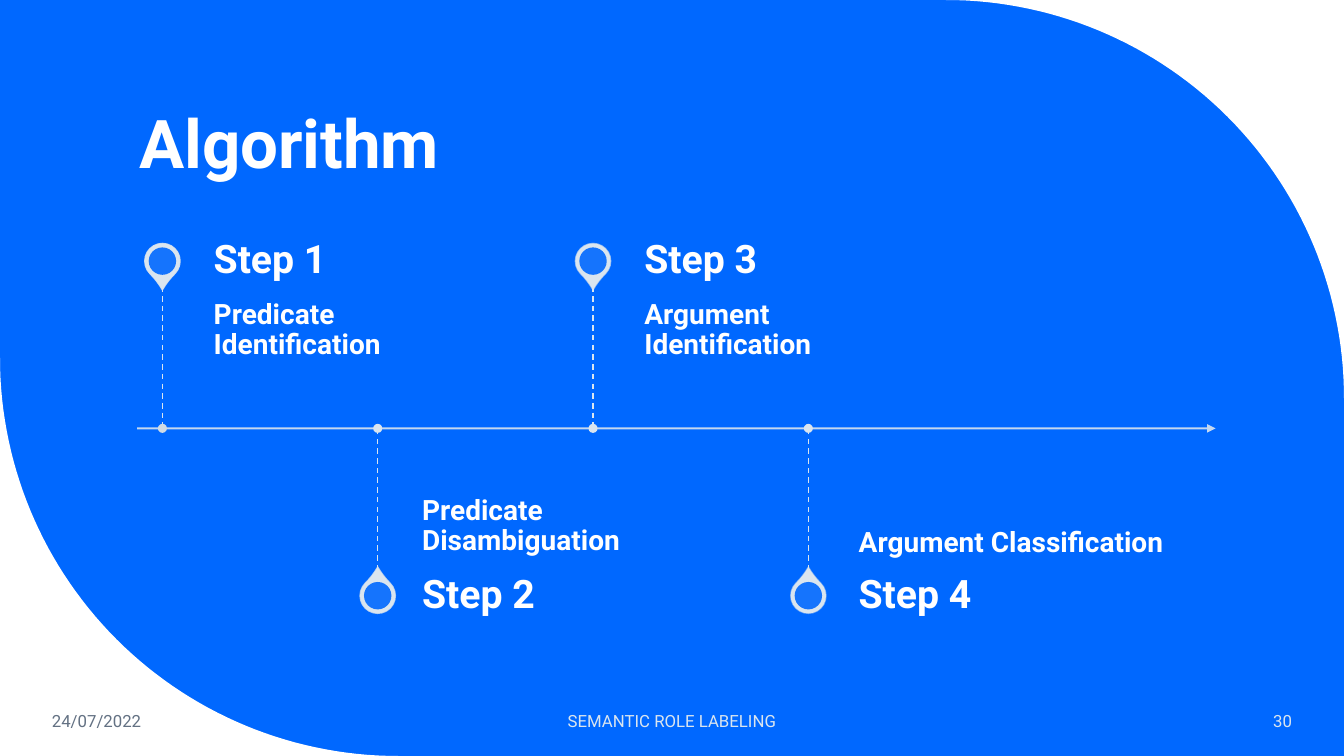
import math

from lxml import etree
from pptx import Presentation
from pptx import util as u
from pptx.dml.color import RGBColor
from pptx.enum import dml, shapes, text
from pptx.oxml import ns

WIDTH, HEIGHT = 960, 540
COLORS = {"blue": "0068FF", "white": "FFFFFF", "mist": "DAE5EF",
          "dot": "D0DBE4", "slate": "637183"}
DEFAULT_INSETS = (7.2, 3.6, 7.2, 3.6)


class SlidePainter:
    """Holds the style and the current slide."""

    def __init__(self, slide, font, colors):
        self.slide, self.font, self.colors = slide, font, colors

    def rgb(self, color):
        return RGBColor.from_string(self.colors[color])

    def paint(self, fill, color, opacity=100):
        fill.solid()
        fill.fore_color.rgb = self.rgb(color)
        if opacity < 100:
            for color_node in fill._xPr.iter(ns.qn("a:srgbClr")):
                alpha = etree.SubElement(color_node, ns.qn("a:alpha"))
                alpha.set("val", str(opacity * 1000))

    def background(self, color):
        self.paint(self.slide.background.fill, color)

    def corner(self, corner, center, radius, start):
        """Fill the area between a slide corner and a quarter arc."""
        angles = [math.radians(start + 1.5 * step) for step in range(61)]
        arc = [(u.Pt(center[0] + radius * math.cos(angle)),
                u.Pt(center[1] + radius * math.sin(angle))) for angle in angles]
        builder = self.slide.shapes.build_freeform(u.Pt(corner[0]), u.Pt(corner[1]))
        builder.add_line_segments(arc, close=True)
        shape = builder.convert_to_shape()
        shape.shadow.inherit = False
        self.paint(shape.fill, "white")
        shape.line.fill.background()

    def centered_shape(self, kind, x, y, size, color, opacity=100):
        shape = self.slide.shapes.add_shape(
            kind, u.Pt(x - size / 2), u.Pt(y - size / 2), u.Pt(size), u.Pt(size))
        shape.shadow.inherit = False
        self.paint(shape.fill, color, opacity)
        shape.line.fill.background()
        return shape

    def pin(self, x, y, rotation, opacity):
        drop = self.centered_shape(shapes.MSO_SHAPE.TEAR, x, y, 25.2, "mist")
        drop.adjustments[0] = 1.15
        drop.rotation = rotation
        drop.line.width = u.Pt(1)
        self.paint(drop.line.fill, "mist", opacity)
        self.centered_shape(shapes.MSO_SHAPE.OVAL, x, y, 19.6, "blue", 90)

    def line(self, start, end, width, opacity=100, dash=None, arrow=False):
        connector = self.slide.shapes.add_connector(
            shapes.MSO_CONNECTOR.STRAIGHT, *[u.Pt(value) for value in start + end])
        connector.line.width = u.Pt(width)
        self.paint(connector.line.fill, "mist", opacity)
        if dash:
            connector.line.dash_style = dash
        if arrow:
            head = etree.SubElement(connector.line._get_or_add_ln(), ns.qn("a:tailEnd"))
            head.set("type", "triangle")
        etree.SubElement(connector._element.spPr, ns.qn("a:effectLst"))

    def label(self, words, box, size, color="white", bold=False, anchor="MIDDLE",
              align="LEFT", spacing=1.0, insets=DEFAULT_INSETS):
        shape = self.slide.shapes.add_textbox(*[u.Pt(value) for value in box])
        frame = shape.text_frame
        frame.word_wrap = True
        frame.vertical_anchor = text.MSO_ANCHOR[anchor]
        (frame.margin_left, frame.margin_top,
         frame.margin_right, frame.margin_bottom) = [u.Pt(value) for value in insets]
        paragraph = frame.paragraphs[0]
        paragraph.alignment = text.PP_ALIGN[align]
        paragraph.line_spacing = spacing
        run = paragraph.add_run()
        run.text = words
        run.font.name = self.font
        run.font.size = u.Pt(size)
        run.font.bold = bold
        run.font.color.rgb = self.rgb(color)


def main():
    presentation = Presentation()
    presentation.slide_width, presentation.slide_height = u.Pt(WIDTH), u.Pt(HEIGHT)
    slide = presentation.slides.add_slide(presentation.slide_layouts[6])
    painter = SlidePainter(slide, "Roboto", COLORS)

    # Blue field with two rounded corners
    radius = 284.4
    painter.background("blue")
    painter.corner((WIDTH, 0), (WIDTH - radius, radius), radius, -90)
    painter.corner((0, HEIGHT), (radius, HEIGHT - radius), radius, 90)

    # Title
    painter.label("Algorithm", (92.2, 30.2, 769.7, 104.4), 48, bold=True,
                  anchor="BOTTOM", spacing=0.9)

    # Timeline axis
    axis_y, stem, pin_reach, heading_height = 306, 101.5, 119.5, 36
    painter.line((97.9, axis_y), (868.3, axis_y), 1.5, opacity=90, arrow=True)

    # Steps alternate above and below the axis: name, text offset, width, opacity
    steps = [("Predicate Identification", 36.7, 219, 90),
             ("Predicate Disambiguation", 31.7, 228, 77),
             ("Argument Identification", 36.7, 219, 63),
             ("Argument Classification", 36, 219, 50)]
    for index, (name, offset, width, opacity) in enumerate(steps):
        x = 116 + 153.8 * index
        left = x + offset
        above = index % 2 == 0
        side = -1 if above else 1
        stem_end = axis_y + side * stem
        name_top = stem_end if above else axis_y
        heading_top = stem_end - heading_height if above else stem_end
        painter.pin(x, axis_y + side * pin_reach, 135 if above else 315, opacity)
        painter.label(name, (left, name_top, width, stem), 20, bold=True,
                      anchor="TOP" if above else "BOTTOM", spacing=0.9,
                      insets=(0, 10, 12, 15) if above else (0, 15, 0, 10))
        painter.label(f"Step {index + 1}", (left, heading_top, width, heading_height),
                      28, bold=True, spacing=0.9, insets=(0, 0, 13.7, 0))
        painter.line((x, stem_end), (x, axis_y), 1, dash=dml.MSO_LINE.DASH)
        painter.centered_shape(shapes.MSO_SHAPE.OVAL, x, axis_y, 6.5,
                               "mist" if index else "dot")

    # Footer
    footer_top, footer_height = 500.4, 28.8
    for words, left, width, color, align in [
            ("24/07/2022", 30, 134, "slate", "LEFT"),
            ("SEMANTIC ROLE LABELING", 318, 324, "mist", "CENTER"),
            ("30", 799.5, 130.5, "mist", "RIGHT")]:
        painter.label(words, (left, footer_top, width, footer_height), 12, color,
                      align=align)

    presentation.save("out.pptx")


if __name__ == "__main__":
    main()
